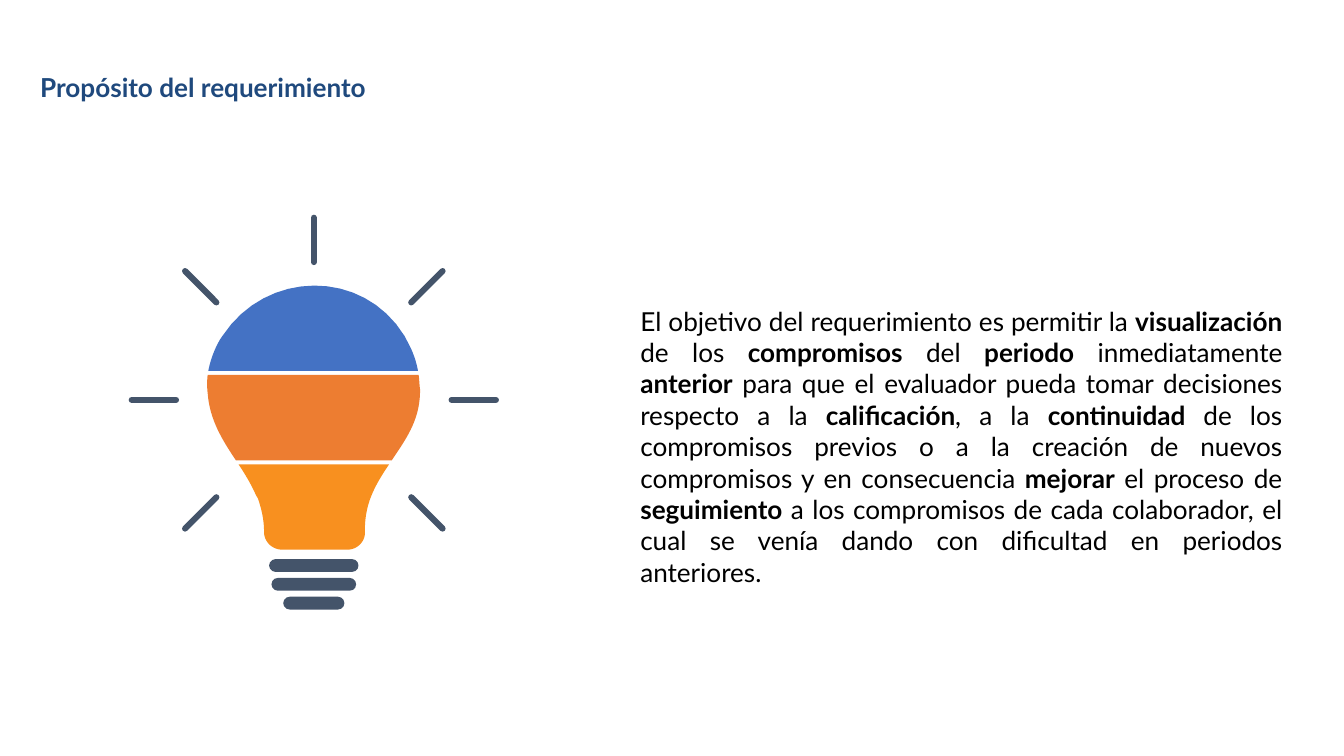
from math import cos, radians, sin

from lxml.etree import SubElement
from pptx import Presentation
from pptx.dml.color import RGBColor
from pptx.enum.shapes import MSO_CONNECTOR, MSO_SHAPE
from pptx.enum.text import MSO_ANCHOR, PP_ALIGN
from pptx.oxml.ns import qn
from pptx.util import Emu, Pt

EMU_PER_PX = 9144  # 100 px to the inch
SLIDE_SIZE = (2000, 1125)
FONT, TEXT_SIZE = "Lato", 28
SLATE = "44546A"

TITLE = "Propósito del requerimiento"
# Words between asterisks are bold.
PURPOSE = (
    "El objetivo del requerimiento es permitir la *visualización* de los "
    "*compromisos* del *periodo* inmediatamente *anterior* para que el evaluador "
    "pueda tomar decisiones respecto a la *calificación*, a la *continuidad* de los "
    "compromisos previos o a la creación de nuevos compromisos y en consecuencia "
    "*mejorar* el proceso de *seguimiento* a los compromisos de cada colaborador, "
    "el cual se venía dando con dificultad en periodos anteriores."
)

# Each outline: a start point, then lines (x, y) and cubic curves (two controls, end).
BULB_BANDS = [
    ("4472C4", [(622, 552), (619, 535, 613, 520, 605, 506), (602, 500),
                (540, 399, 396, 401, 331, 500), (327, 506),
                (319, 520, 313, 536, 310, 552)]),
    ("ED7D31", [(309, 585), (312, 625, 331, 655, 351, 685), (583, 685),
                (603, 655, 624, 627, 625, 585), (625, 579),
                (624, 572, 624, 565, 623, 558), (309, 558),
                (308, 567, 308, 576, 309, 585)]),
    ("F8901F", [(355, 691), (365, 706, 374, 721, 381, 737), (384, 742),
                (389, 757, 393, 773, 393, 792), (393, 806, 405, 818, 420, 818),
                (517, 818), (533, 818, 545, 804, 543, 789),
                (543, 771, 546, 756, 551, 742), (553, 737),
                (560, 720, 569, 706, 579, 691)]),
]
BULB_CENTER = (467, 595)
RAY_RADII = (205, 271)
RAY_ANGLES = range(-225, 46, 45)
RAY_WIDTH = 9
SCREW_WIDTHS = (133, 126, 91)
SCREW_TOP, SCREW_HEIGHT, SCREW_PITCH = 832, 19, 28


def px(length):
    return Emu(round(length * EMU_PER_PX))


def color(hex_string):
    return RGBColor.from_string(hex_string)


def paint(shape, fill):
    shape.shadow.inherit = False
    shape.fill.solid()
    shape.fill.fore_color.rgb = color(fill)
    shape.line.fill.background()


def flatten(outline, steps=16):
    """Return the outline's points, with each curve sampled in equal steps."""
    points = [outline[0]]
    for segment in outline[1:]:
        if len(segment) == 2:
            points.append(segment)
            continue
        controls = [points[-1], segment[:2], segment[2:4], segment[4:]]
        for step in range(1, steps + 1):
            t = step / steps
            weights = ((1 - t) ** 3, 3 * t * (1 - t) ** 2, 3 * t * t * (1 - t), t ** 3)
            points.append(tuple(
                sum(weight * control[axis] for weight, control in zip(weights, controls))
                for axis in (0, 1)))
    return points


def add_band(slide, fill, outline):
    points = [(px(x), px(y)) for x, y in flatten(outline)]
    builder = slide.shapes.build_freeform(*points[0], scale=1.0)
    builder.add_line_segments(points[1:], close=True)
    paint(builder.convert_to_shape(), fill)


def add_ray(slide, angle):
    center_x, center_y = BULB_CENTER
    ends = [px(value) for radius in RAY_RADII
            for value in (center_x + radius * cos(radians(angle)),
                          center_y + radius * sin(radians(angle)))]
    ray = slide.shapes.add_connector(MSO_CONNECTOR.STRAIGHT, *ends)
    ray.line.color.rgb = color(SLATE)
    ray.line.width = px(RAY_WIDTH)
    ray.line._get_or_add_ln().set("cap", "rnd")
    SubElement(ray._element.spPr, qn("a:effectLst"))


def add_screw_ring(slide, index, width):
    ring = slide.shapes.add_shape(
        MSO_SHAPE.ROUNDED_RECTANGLE,
        px(BULB_CENTER[0] - width / 2), px(SCREW_TOP + index * SCREW_PITCH),
        px(width), px(SCREW_HEIGHT))
    ring.adjustments[0] = 0.5
    paint(ring, SLATE)


def add_text(slide, box, text, text_color, align, anchor, all_bold=False):
    frame = slide.shapes.add_textbox(*map(px, box)).text_frame
    frame.word_wrap = True
    frame.vertical_anchor = anchor
    paragraph = frame.paragraphs[0]
    paragraph.alignment = align
    for index, part in enumerate(text.split("*")):
        run = paragraph.add_run()
        run.text = part
        run.font.name = FONT
        run.font.size = Pt(TEXT_SIZE)
        run.font.bold = all_bold or index % 2 == 1
        run.font.color.rgb = color(text_color)


def main():
    presentation = Presentation()
    presentation.slide_width, presentation.slide_height = map(px, SLIDE_SIZE)
    slide = presentation.slides.add_slide(presentation.slide_layouts[6])

    for fill, outline in BULB_BANDS:
        add_band(slide, fill, outline)
    for angle in RAY_ANGLES:
        add_ray(slide, angle)
    for index, width in enumerate(SCREW_WIDTHS):
        add_screw_ring(slide, index, width)

    add_text(slide, (50, 79, 1208, 101), TITLE, "1F497D",
             PP_ALIGN.LEFT, MSO_ANCHOR.MIDDLE, all_bold=True)
    add_text(slide, (943, 449, 975, 434), PURPOSE, "000000",
             PP_ALIGN.JUSTIFY, MSO_ANCHOR.TOP)
    presentation.save("out.pptx")


if __name__ == "__main__":
    main()
